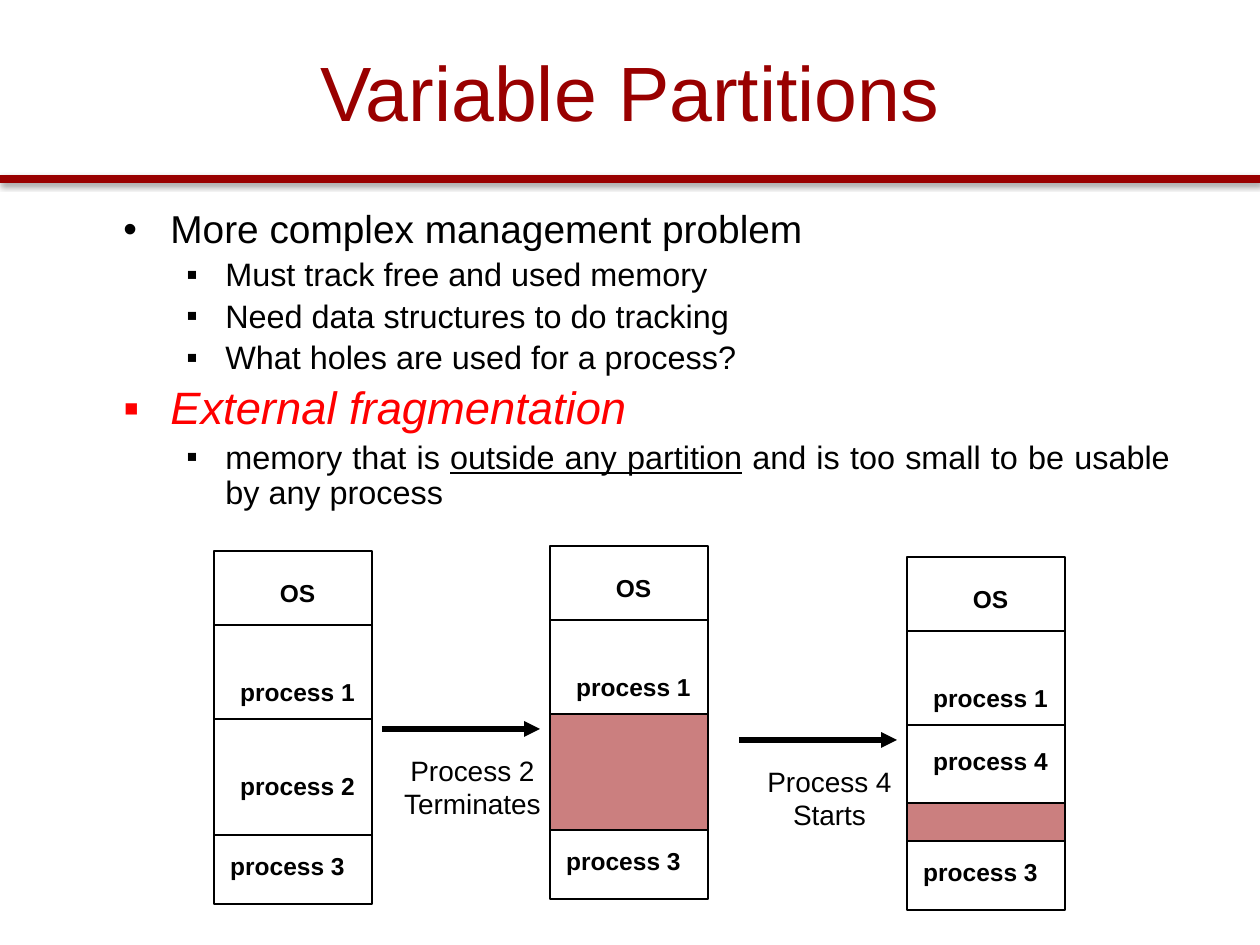
from pptx import Presentation
from pptx.dml.color import RGBColor
from pptx.enum.shapes import MSO_CONNECTOR, MSO_SHAPE
from pptx.enum.text import MSO_ANCHOR, PP_ALIGN
from pptx.oxml import parse_xml
from pptx.oxml.ns import nsdecls, qn
from pptx.util import Emu, Pt
from lxml import etree

COLORS = {"maroon": "990000", "black": "000000", "white": "FFFFFF", "red": "FF0000"}
RGB = {name: RGBColor.from_string(value) for name, value in COLORS.items()}
EMU_PER_PX = 914400 / 126

prs = Presentation()
prs.slide_width, prs.slide_height = Emu(1260 * 914400 // 126), Emu(945 * 914400 // 126)
slide = prs.slides.add_slide(prs.slide_layouts[6])
shapes = slide.shapes


def px(*lengths):
    return [Emu(round(length * EMU_PER_PX)) for length in lengths]


def add_line(start, end, color="black", width=0.75):
    line = shapes.add_connector(MSO_CONNECTOR.STRAIGHT, *px(*start, *end))
    line.line.color.rgb = RGB[color]
    line.line.width = Pt(width)
    effects = etree.SubElement(line._element.spPr, qn("a:effectLst"))
    return line, effects


# Rule below the title, with its shadow
title_rule, rule_effects = add_line((0, 179), (1260, 179), "maroon", 5)
rule_effects.append(parse_xml(
    f'<a:outerShdw {nsdecls("a")} blurRad="{Pt(3.1)}" dist="{Pt(1.6)}" dir="5400000">'
    f'<a:srgbClr val="{COLORS["black"]}"><a:alpha val="38000"/></a:srgbClr></a:outerShdw>'))

# Bulleted points: kind of point, then its runs as (text, extra format)
POINT_STYLES = {
    "main": {"bullet": "•", "left": 47, "hang": 47, "size": 22.2, "color": "black", "before": 4.4},
    "sub": {"bullet": "▪", "left": 102, "hang": 39, "size": 18.5, "color": "black", "before": 3.7},
    "key": {"bullet": "▪", "left": 47, "hang": 47, "size": 25.9, "color": "red", "before": 5.2},
}
POINTS = [
    ("main", [("More complex management problem", {})]),
    ("sub", [("Must track free and used memory", {})]),
    ("sub", [("Need data structures to do tracking", {})]),
    ("sub", [("What holes are used for a process?", {})]),
    ("key", [("External fragmentation", {"italic": True})]),
    ("sub", [("memory that is ", {}), ("outside any partition", {"underline": True}),
             (" and is too small to be usable by any process", {})]),
]
points_frame = shapes.add_textbox(*px(111, 204, 1071, 336)).text_frame
points_frame.word_wrap = True
for number, (kind, runs) in enumerate(POINTS):
    style = POINT_STYLES[kind]
    point = points_frame.paragraphs[0] if number == 0 else points_frame.add_paragraph()
    properties = point._p.get_or_add_pPr()
    left, hang = px(style["left"], style["hang"])
    properties.set("marL", str(left))
    properties.set("indent", str(-hang))
    etree.SubElement(properties, qn("a:buFont")).set("typeface", "Arial")
    etree.SubElement(properties, qn("a:buChar")).set("char", style["bullet"])
    point.level = 1 if kind == "sub" else 0
    point.alignment = PP_ALIGN.JUSTIFY
    point.line_spacing = 0.9
    if number:
        point.space_before = Pt(style["before"])
    for text, extra in runs:
        run = point.add_run()
        run.text = text
        for key, value in {"name": "Arial", "size": Pt(style["size"]), **extra}.items():
            setattr(run.font, key, value)
        run.font.color.rgb = RGB[style["color"]]

# Memory maps: offsets inside a map run down from its top
MAP_WIDTH, MAP_HEIGHT = 158, 353
DIVIDERS = (74, 168, 284)
MAPS = [
    {"left": 214, "top": 551, "middle": ("process 2", 214)},
    {"left": 550, "top": 546, "hole": (168, 116), "event": ["Process 2", "Terminates"]},
    {"left": 907, "top": 557, "hole": (246, 38), "event": ["Process 4", "Starts"],
     "middle": ("process 4", 183)},
]
TITLE = {"size": 44, "color": "maroon", "bold": False, "anchor": MSO_ANCHOR.MIDDLE}
LABEL = {"size": 14, "color": "black", "bold": True, "anchor": MSO_ANCHOR.MIDDLE}
EVENT = {"size": 16, "color": "black", "bold": False, "anchor": MSO_ANCHOR.TOP}

# Centred texts as (box, lines, style): the title, then those of the maps
texts = [((63, 12, 1134, 158), ["Variable Partitions"], TITLE)]
for memory in MAPS:
    left, top = memory["left"], memory["top"]

    # Outline, and the free hole if there is one
    blocks = [(0, MAP_HEIGHT, "white")]
    if "hole" in memory:
        blocks.append((*memory["hole"], "maroon"))
    for offset, height, color in blocks:
        block = shapes.add_shape(MSO_SHAPE.RECTANGLE,
                                 *px(left, top + offset, MAP_WIDTH, height))
        block.shadow.inherit = False
        block.fill.solid()
        block.fill.fore_color.rgb = RGB[color]
        block.line.color.rgb = RGB["black"]
        block.line.width = Pt(0.75)
        if color == "maroon":
            fill_color = block._element.spPr.find(qn("a:solidFill"))[0]
            etree.SubElement(fill_color, qn("a:alpha")).set("val", "50000")

    # Dividers and labels
    for offset in DIVIDERS:
        add_line((left, top + offset), (left + MAP_WIDTH, top + offset))
    labels = [("OS", 10, 21), ("process 1", 10, 120), ("process 3", 0, 294)]
    if "middle" in memory:
        name, offset = memory["middle"]
        labels.append((name, 10, offset))
    for name, indent, offset in labels:
        texts.append(((left + indent, top + offset, 147, 42), [name], LABEL))

    # Arrow and event that lead to this map
    if "event" in memory:
        arrow, _ = add_line((left - 168, top + 183), (left - 10, top + 183), width=3)
        etree.SubElement(arrow.line._get_or_add_ln(), qn("a:tailEnd")).set("type", "triangle")
        texts.append(((left - 160, top + 201, 165, 81), memory["event"], EVENT))

# Title, labels and events
for box, lines, style in texts:
    frame = shapes.add_textbox(*px(*box)).text_frame
    frame.word_wrap = True
    frame.vertical_anchor = style["anchor"]
    for number, line in enumerate(lines):
        paragraph = frame.paragraphs[0] if number == 0 else frame.add_paragraph()
        paragraph.alignment = PP_ALIGN.CENTER
        run = paragraph.add_run()
        run.text = line
        for key, value in {"name": "Arial", "size": Pt(style["size"]),
                           "bold": style["bold"]}.items():
            setattr(run.font, key, value)
        run.font.color.rgb = RGB[style["color"]]

prs.save("out.pptx")
